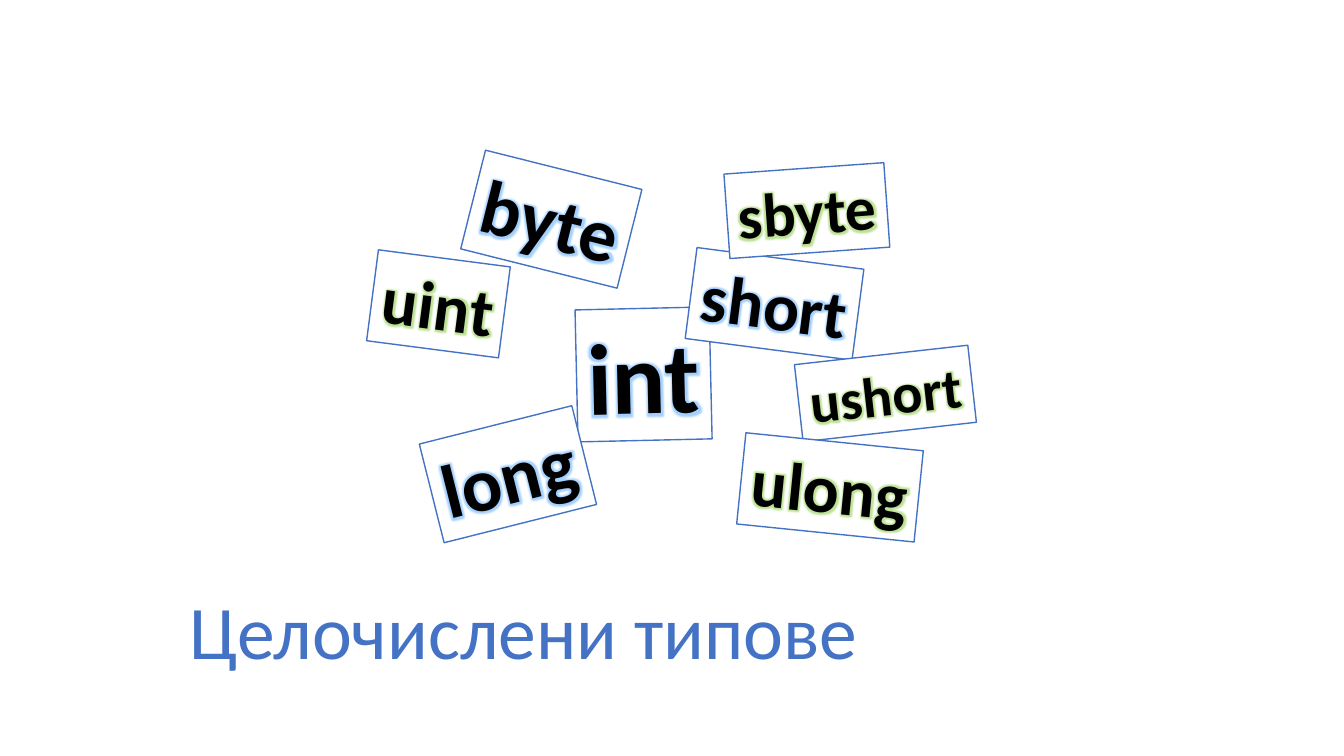
from lxml.etree import SubElement
from pptx import Presentation
from pptx.dml.color import RGBColor
from pptx.enum.shapes import MSO_SHAPE
from pptx.enum.text import MSO_ANCHOR, MSO_AUTO_SIZE, PP_ALIGN
from pptx.oxml import parse_xml
from pptx.oxml.ns import nsdecls, qn
from pptx.util import Pt

BLUE = RGBColor(0x44, 0x72, 0xC4)
BLACK = RGBColor(0, 0, 0)
WHITE = RGBColor(0xFF, 0xFF, 0xFF)
SIGNED_GLOW = RGBColor(0x66, 0xB2, 0xFF)
UNSIGNED_GLOW = RGBColor(0x92, 0xD0, 0x50)

CLOUD_BOX = (265.7, 120.2, 429.1, 260.7)
TYPE_TILES = [
    ("int", 146.1, 100.1, 95.8, 94.3, -1.3, 72, SIGNED_GLOW),
    ("long", 41, 182.2, 112.3, 72.7, -14.1, 54, SIGNED_GLOW),
    ("byte", 70.5, 0, 115.2, 72.7, 14.1, 54, SIGNED_GLOW),
    ("short", 227.5, 64.1, 120.2, 65.5, 7.4, 48, SIGNED_GLOW),
    ("uint", 0, 64.1, 95, 65.5, 7.4, 48, UNSIGNED_GLOW),
    ("sbyte", 253.4, 0, 114.5, 60.5, -4.1, 44, UNSIGNED_GLOW),
    ("ushort", 304.5, 133.2, 124.6, 55.4, -6.4, 40, UNSIGNED_GLOW),
    ("ulong", 263.5, 195.2, 127.4, 65.5, 5.8, 48, UNSIGNED_GLOW),
]


def set_attrs(target, values):
    """Set each named value on the target."""
    for name, value in values.items():
        setattr(target, name, value)


def format_run(r, size, color, bold):
    """Apply font, size, weight and colour to a run."""
    set_attrs(r.font, {"name": "Calibri", "size": Pt(size), "bold": bold})
    r.font.color.rgb = color


def add_glow(r, color):
    """Give a run a thin blue outline and a soft glow."""
    rPr = r.font._element
    rPr.insert(0, parse_xml(
        f'<a:ln {nsdecls("a")} w="{Pt(0.8)}"><a:solidFill>'
        f'<a:srgbClr val="{BLUE}"/></a:solidFill></a:ln>'))
    effects = parse_xml(f'<a:effectLst {nsdecls("a")}/>')
    glow = SubElement(effects, qn("a:glow"), rad=str(Pt(5)))
    clr = SubElement(glow, qn("a:srgbClr"), val=str(color))
    SubElement(clr, qn("a:alpha"), val="60000")
    rPr.find(qn("a:solidFill")).addnext(effects)


def add_title(s, text, left, top, width, height):
    """Place and format the slide title in the given box."""
    sp = s.shapes.title
    set_attrs(sp, {"left": Pt(left), "top": Pt(top),
                   "width": Pt(width), "height": Pt(height)})
    tf = sp.text_frame
    set_attrs(tf, {"word_wrap": True, "auto_size": MSO_AUTO_SIZE.NONE,
                   "vertical_anchor": MSO_ANCHOR.BOTTOM})
    p = tf.paragraphs[0]
    set_attrs(p, {"alignment": PP_ALIGN.LEFT, "line_spacing": 0.9})
    r = p.add_run()
    r.text = text
    format_run(r, 54, BLUE, False)


def add_tile(shapes, name, left, top, width, height, angle, size, glow):
    """Draw one tilted tile holding a type name."""
    sp = shapes.add_shape(MSO_SHAPE.RECTANGLE, Pt(left), Pt(top),
                          Pt(width), Pt(height))
    sp.rotation = angle
    sp.shadow.inherit = False
    sp.fill.solid()
    sp.fill.fore_color.rgb = WHITE
    sp.line.color.rgb = BLUE
    sp.line.width = Pt(1)
    tf = sp.text_frame
    set_attrs(tf, {"word_wrap": False, "vertical_anchor": MSO_ANCHOR.TOP,
                   "auto_size": MSO_AUTO_SIZE.SHAPE_TO_FIT_TEXT})
    p = tf.paragraphs[0]
    p.alignment = PP_ALIGN.CENTER
    r = p.add_run()
    r.text = name
    format_run(r, size, BLACK, True)
    add_glow(r, glow)


def add_type_cloud(s, left, top, width, height):
    """Scatter the type tiles over the given box as one group."""
    group = s.shapes.add_group_shape()
    sx, sy = width / CLOUD_BOX[2], height / CLOUD_BOX[3]
    for name, x, y, w, h, angle, size, glow in TYPE_TILES:
        add_tile(group.shapes, name, left + x * sx, top + y * sy,
                 w * sx, h * sy, angle, size, glow)


def main():
    """Build the slide and save it."""
    prs = Presentation()
    set_attrs(prs, {"slide_width": Pt(960), "slide_height": Pt(540)})
    s = prs.slides.add_slide(prs.slide_layouts[5])
    add_title(s, "Целочислени типове", 128.2, 421.2, 704.2, 64.8)
    add_type_cloud(s, *CLOUD_BOX)
    prs.save("out.pptx")


if __name__ == "__main__":
    main()
